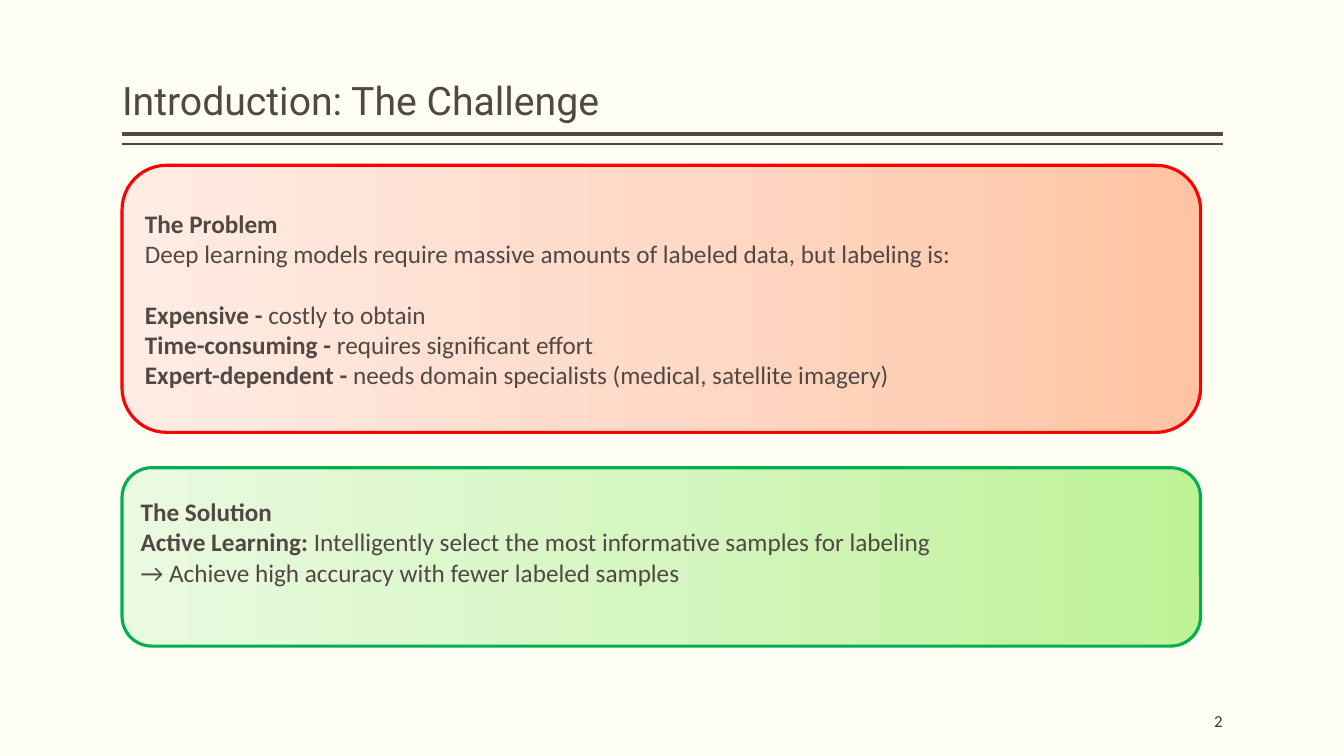
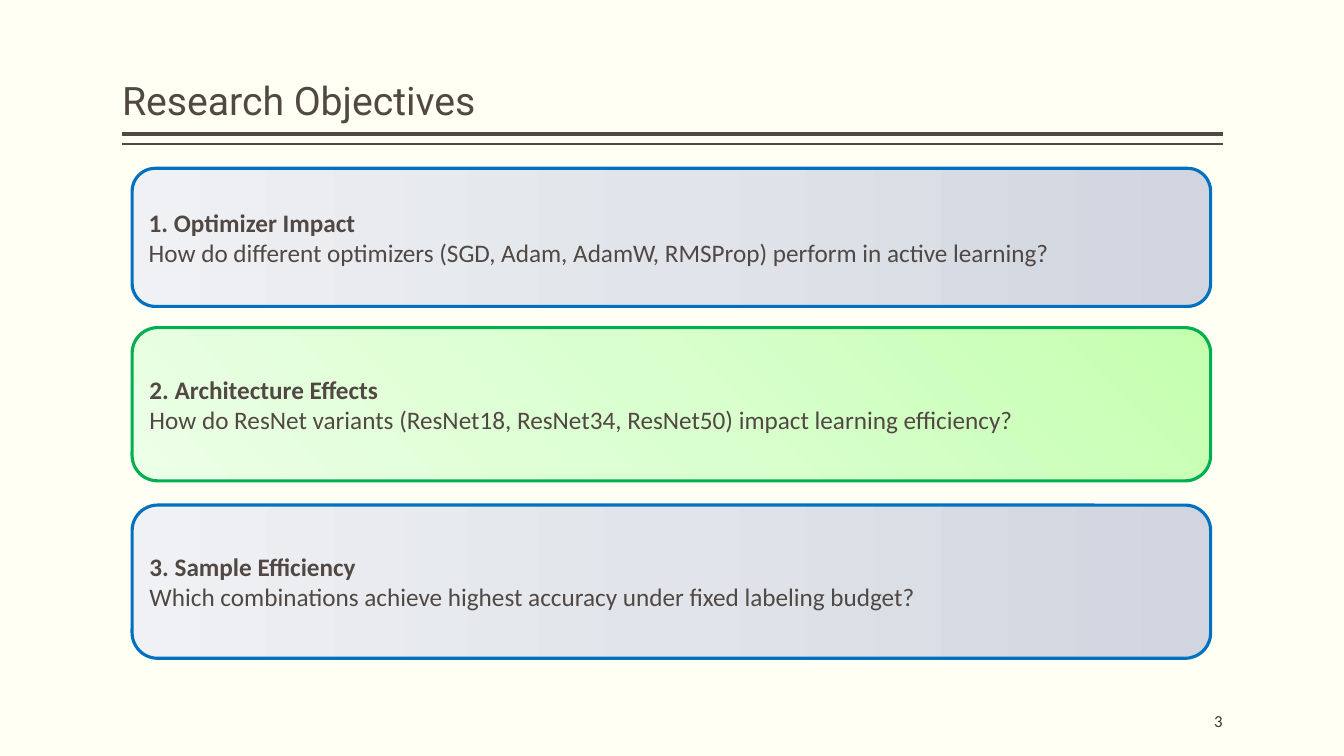
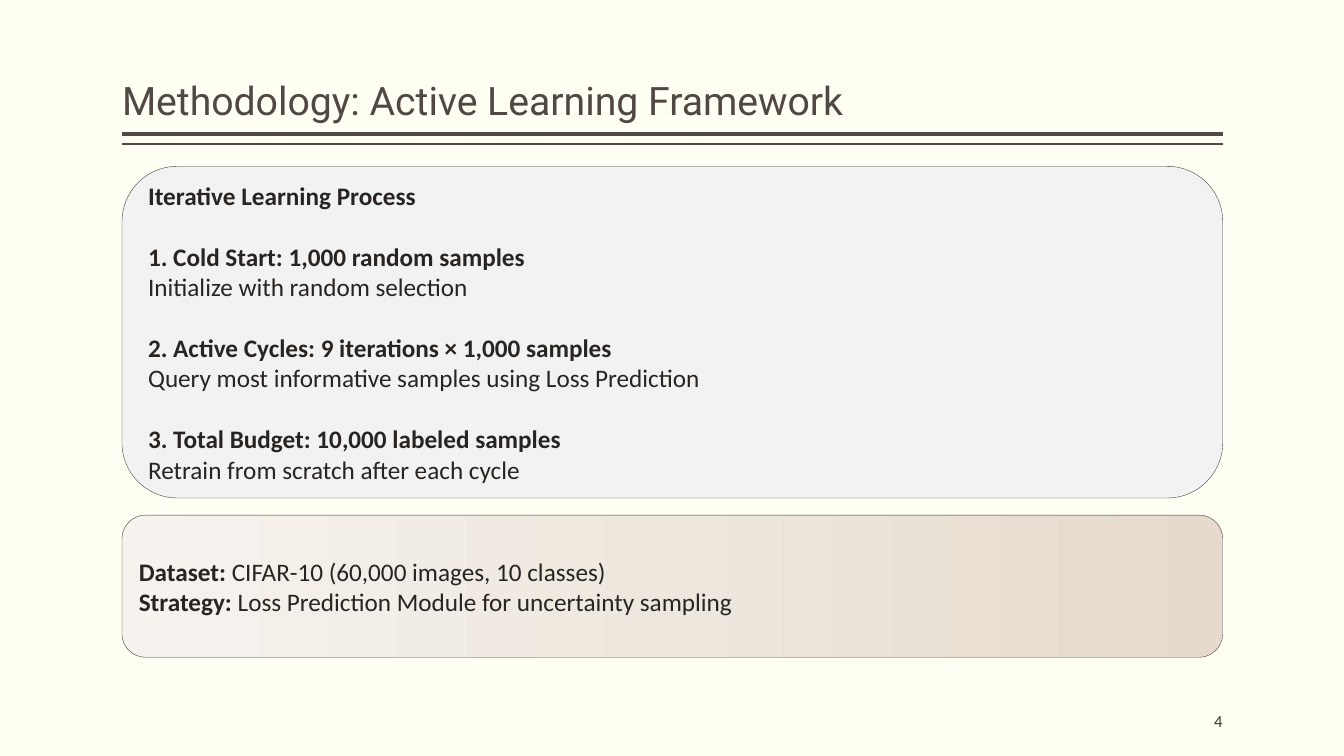
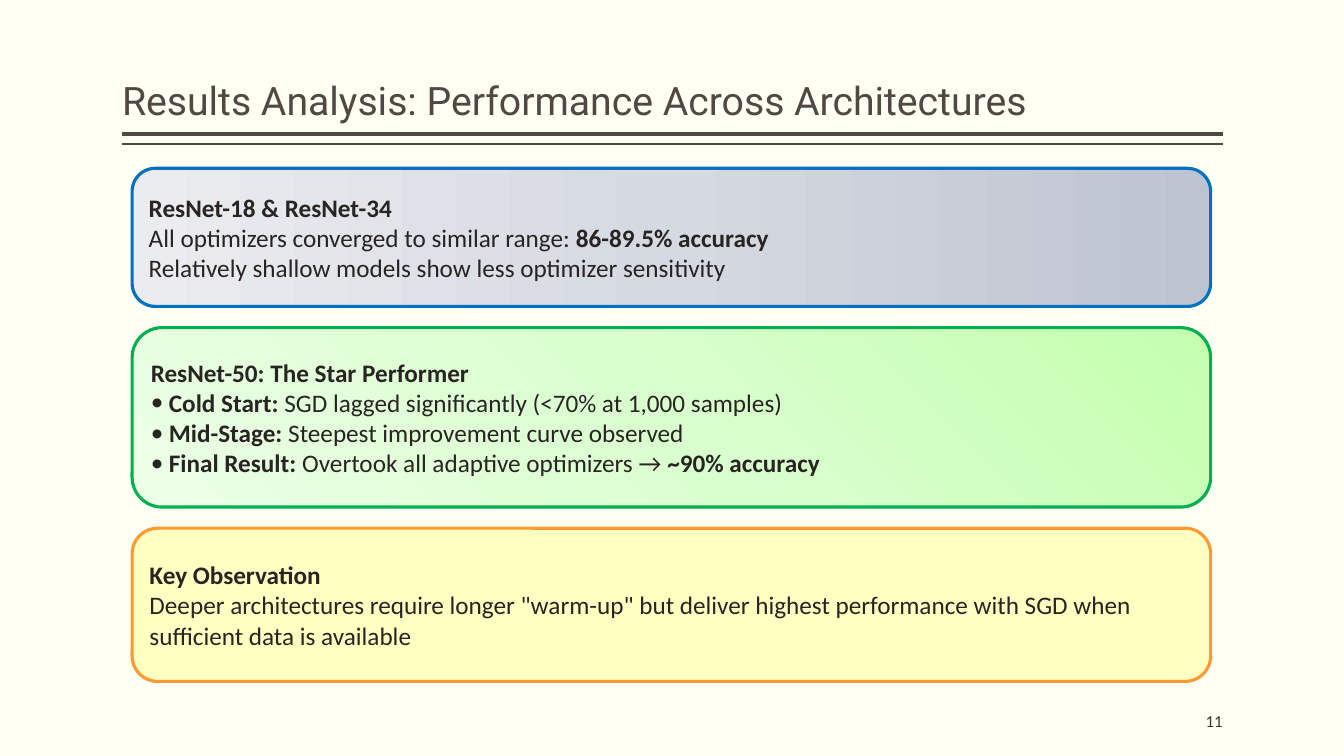
from dataclasses import dataclass

from lxml import etree
from pptx import Presentation
from pptx import util as u
from pptx.dml.color import RGBColor
from pptx.enum import shapes, text
from pptx.oxml import ns

WIDTH, HEIGHT = u.Inches(13.33), u.Inches(7.5)

# Shared style
PAPER, BROWN, INK, NUMBER_INK, HAIRLINE = "FFFFF3", "514843", "282422", "3D3632", "3C3532"
RED, GREEN, BLUE, ORANGE = "FF0000", "00B050", "0070C0", "FF9933"
HEADING_FONT, BODY_FONT = "Roboto", "Calibri"
BODY_SIZE = 18
BLANK_LINE = 22  # points, one line of body text

# Shared places, in percent of the slide's width or height
LEFT, FULL_WIDTH = 9.08, 81.9
PANEL_WIDTH, INDENTED_LEFT = 80.25, 9.83
THICK_RULE, THIN_RULE = 17.73, 19.07

# Gradients run from right to left, the last one from the top right corner
PEACH = ("FFC4A3", "FFD9C7", "FFECE4")
LIME = ("BEF297", "D5F6C0", "EAFAE0")
MIST = ("D0D5DF", "E1E4EA", "F0F1F4")
SLATE = ("BDC3D0", "D5D9E1", "EAECF0")
SAND = ("E5DACB", "EEE7DE", "F6F3EE")
MINT = ("C4FFAF", "D9FFCE", "ECFFE7")


@dataclass(frozen=True)
class Line:
    """One paragraph; the parts between ** are bold."""
    words: str
    apart: bool = False
    bullet: bool = False


@dataclass(frozen=True)
class Panel:
    """A rounded box; height and the gap above it in percent of the slide."""
    height: float
    fill: tuple[str, ...]
    border: str
    lines: tuple[Line, ...]
    gap: float = 2.8
    border_width: float = 2.25
    corner_light: bool = False
    bottom_inset: float = 0.05


@dataclass(frozen=True)
class Page:
    number: int
    title: str
    panels: tuple[Panel, ...]
    left: float = INDENTED_LEFT
    width: float = PANEL_WIDTH
    ink: str = BROWN


def across(percent: float) -> int:
    return round(WIDTH * percent / 100)


def down(percent: float) -> int:
    return round(HEIGHT * percent / 100)


def colour(hex_string: str) -> RGBColor:
    return RGBColor.from_string(hex_string)


def write(frame, lines: tuple[Line, ...], *, size: float = BODY_SIZE, font: str = BODY_FONT,
          ink: str = INK, align=text.PP_ALIGN.LEFT, anchor=text.MSO_ANCHOR.MIDDLE,
          side_inset: float = 0.1, bottom_inset: float = 0.05, spacing: float = 1.0) -> None:
    frame.word_wrap = True
    frame.auto_size = text.MSO_AUTO_SIZE.NONE
    frame.vertical_anchor = anchor
    frame.margin_left = frame.margin_right = u.Inches(side_inset)
    frame.margin_top, frame.margin_bottom = u.Inches(0.05), u.Inches(bottom_inset)
    for index, line in enumerate(lines):
        paragraph = frame.add_paragraph() if index else frame.paragraphs[0]
        paragraph.alignment = align
        paragraph.line_spacing = spacing
        paragraph.space_before = u.Pt(BLANK_LINE if line.apart else 0)
        if line.bullet:
            add_bullet(paragraph)
        for part, words in enumerate(line.words.split("**")):
            if words:
                run = paragraph.add_run()
                run.text = words
                run.font.size, run.font.name = u.Pt(size), font
                run.font.bold = part % 2 == 1
                run.font.color.rgb = colour(ink)


def add_bullet(paragraph) -> None:
    properties = paragraph._p.get_or_add_pPr()
    indent = u.Inches(0.18)
    properties.set("marL", str(indent))
    properties.set("indent", str(-indent))
    etree.SubElement(properties, ns.qn("a:buFont")).set("typeface", BODY_FONT)
    etree.SubElement(properties, ns.qn("a:buChar")).set("char", "•")


def fill_gradient(shape, stops: tuple[str, ...], corner_light: bool) -> None:
    gradient = etree.Element(ns.qn("a:gradFill"), rotWithShape="1")
    stop_list = etree.SubElement(gradient, ns.qn("a:gsLst"))
    for index, stop in enumerate(stops):
        position = str(index * 100000 // (len(stops) - 1))
        mark = etree.SubElement(stop_list, ns.qn("a:gs"), pos=position)
        etree.SubElement(mark, ns.qn("a:srgbClr"), val=stop)
    if corner_light:
        circle = etree.SubElement(gradient, ns.qn("a:path"))
        circle.set("path", "circle")
        etree.SubElement(circle, ns.qn("a:fillToRect"), l="100000", b="100000")
    else:
        etree.SubElement(gradient, ns.qn("a:lin"), ang=str(180 * 60000), scaled="0")
    shape._element.spPr.find(ns.qn("a:prstGeom")).addnext(gradient)


def draw_rule(slide, top: float, width: float) -> None:
    rule = slide.shapes.add_connector(shapes.MSO_CONNECTOR.STRAIGHT, across(LEFT), down(top),
                                      across(LEFT + FULL_WIDTH), down(top))
    rule.line.color.rgb = colour(BROWN)
    rule.line.width = u.Pt(width)
    etree.SubElement(rule._element.spPr, ns.qn("a:effectLst"))


def draw_panel(slide, panel: Panel, page: Page, top: float) -> None:
    box = slide.shapes.add_shape(shapes.MSO_SHAPE.ROUNDED_RECTANGLE, across(page.left), down(top),
                                 across(page.width), down(panel.height))
    box.shadow.inherit = False
    box.line.color.rgb = colour(panel.border)
    box.line.width = u.Pt(panel.border_width)
    if len(panel.fill) == 1:
        box.fill.solid()
        box.fill.fore_color.rgb = colour(panel.fill[0])
    else:
        fill_gradient(box, panel.fill, panel.corner_light)
    write(box.text_frame, panel.lines, ink=page.ink, bottom_inset=panel.bottom_inset)


def draw_page(deck, page: Page) -> None:
    slide = deck.slides.add_slide(deck.slide_layouts[5])

    # Title and its double rule
    title = slide.shapes.title
    title.left, title.top = across(LEFT), down(1.07)
    title.width, title.height = across(FULL_WIDTH), down(16)
    write(title.text_frame, (Line(page.title),), size=28, font=HEADING_FONT, ink=BROWN,
          anchor=text.MSO_ANCHOR.BOTTOM, side_inset=0, spacing=0.9)
    draw_rule(slide, THICK_RULE, 3)
    draw_rule(slide, THIN_RULE, 1)

    # Panels, stacked below the rules
    top = THIN_RULE
    for panel in page.panels:
        top += panel.gap
        draw_panel(slide, panel, page, top)
        top += panel.height

    # Page number
    number = slide.shapes.add_textbox(across(LEFT + FULL_WIDTH - 15), down(92.67),
                                      across(15), down(5.33))
    write(number.text_frame, (Line(str(page.number)),), size=12, ink=NUMBER_INK,
          align=text.PP_ALIGN.RIGHT, side_inset=0)


PAGES = (
    Page(2, "Introduction: The Challenge", left=LEFT, panels=(
        Panel(35.33, PEACH, RED, (
            Line("**The Problem**"),
            Line("Deep learning models require massive amounts of labeled data, but labeling is:"),
            Line("**Expensive - **costly to obtain", apart=True),
            Line("**Time-consuming - **requires significant effort"),
            Line("**Expert-dependent - **needs domain specialists (medical, satellite imagery)"),
        )),
        Panel(23.6, LIME, GREEN, (
            Line("**The Solution**"),
            Line("**Active Learning:** Intelligently select the most informative samples for labeling"),
            Line("→ Achieve high accuracy with fewer labeled samples"),
        ), gap=4.67, bottom_inset=0.35),
    )),
    Page(3, "Research Objectives", (
        Panel(18.27, MIST, BLUE, (
            Line("**1. Optimizer Impact**"),
            Line("How do different optimizers (SGD, Adam, AdamW, RMSProp) perform in active learning?"),
        ), gap=3.2),
        Panel(20.27, MINT, GREEN, (
            Line("**2. Architecture Effects**"),
            Line("How do ResNet variants (ResNet18, ResNet34, ResNet50) impact learning efficiency?"),
        ), corner_light=True),
        Panel(20.27, MIST, BLUE, (
            Line("**3. Sample Efficiency**"),
            Line("Which combinations achieve highest accuracy under fixed labeling budget?"),
        ), gap=3.2),
    )),
    Page(4, "Methodology: Active Learning Framework", left=LEFT, width=FULL_WIDTH, ink=INK, panels=(
        Panel(43.87, ("F2F2F2",), HAIRLINE, (
            Line("**Iterative Learning Process**"),
            Line("**1. Cold Start: 1,000 random samples**", apart=True),
            Line("Initialize with random selection"),
            Line("**2. Active Cycles: 9 iterations × 1,000 samples**", apart=True),
            Line("Query most informative samples using Loss Prediction"),
            Line("**3. Total Budget: 10,000 labeled samples**", apart=True),
            Line("Retrain from scratch after each cycle"),
        ), gap=2.93, border_width=0.25),
        Panel(18.8, SAND, HAIRLINE, (
            Line("**Dataset:** CIFAR-10 (60,000 images, 10 classes)"),
            Line("**Strategy:** Loss Prediction Module for uncertainty sampling"),
        ), gap=2.27, border_width=0.25),
    )),
    Page(11, "Results Analysis: Performance Across Architectures", ink=INK, panels=(
        Panel(18.27, SLATE, BLUE, (
            Line("**ResNet-18 & ResNet-34**"),
            Line("All optimizers converged to similar range: **86-89.5% accuracy**"),
            Line("Relatively shallow models show less optimizer sensitivity"),
        ), gap=3.2),
        Panel(23.73, MINT, GREEN, (
            Line("**ResNet-50: The Star Performer**"),
            Line("**Cold Start:** SGD lagged significantly (<70% at 1,000 samples)", bullet=True),
            Line("**Mid-Stage:** Steepest improvement curve observed", bullet=True),
            Line("**Final Result:** Overtook all adaptive optimizers → **~90% accuracy**", bullet=True),
        ), corner_light=True),
        Panel(20.27, ("FFFFC1",), ORANGE, (
            Line("**Key Observation**"),
            Line('Deeper architectures require longer "warm-up" but deliver highest performance '
                 "with SGD when sufficient data is available"),
        )),
    )),
)


def main() -> None:
    deck = Presentation()
    deck.slide_width, deck.slide_height = WIDTH, HEIGHT
    paper = deck.slide_master.background.fill
    paper.solid()
    paper.fore_color.rgb = colour(PAPER)
    for page in PAGES:
        draw_page(deck, page)
    deck.save("out.pptx")


if __name__ == "__main__":
    main()
